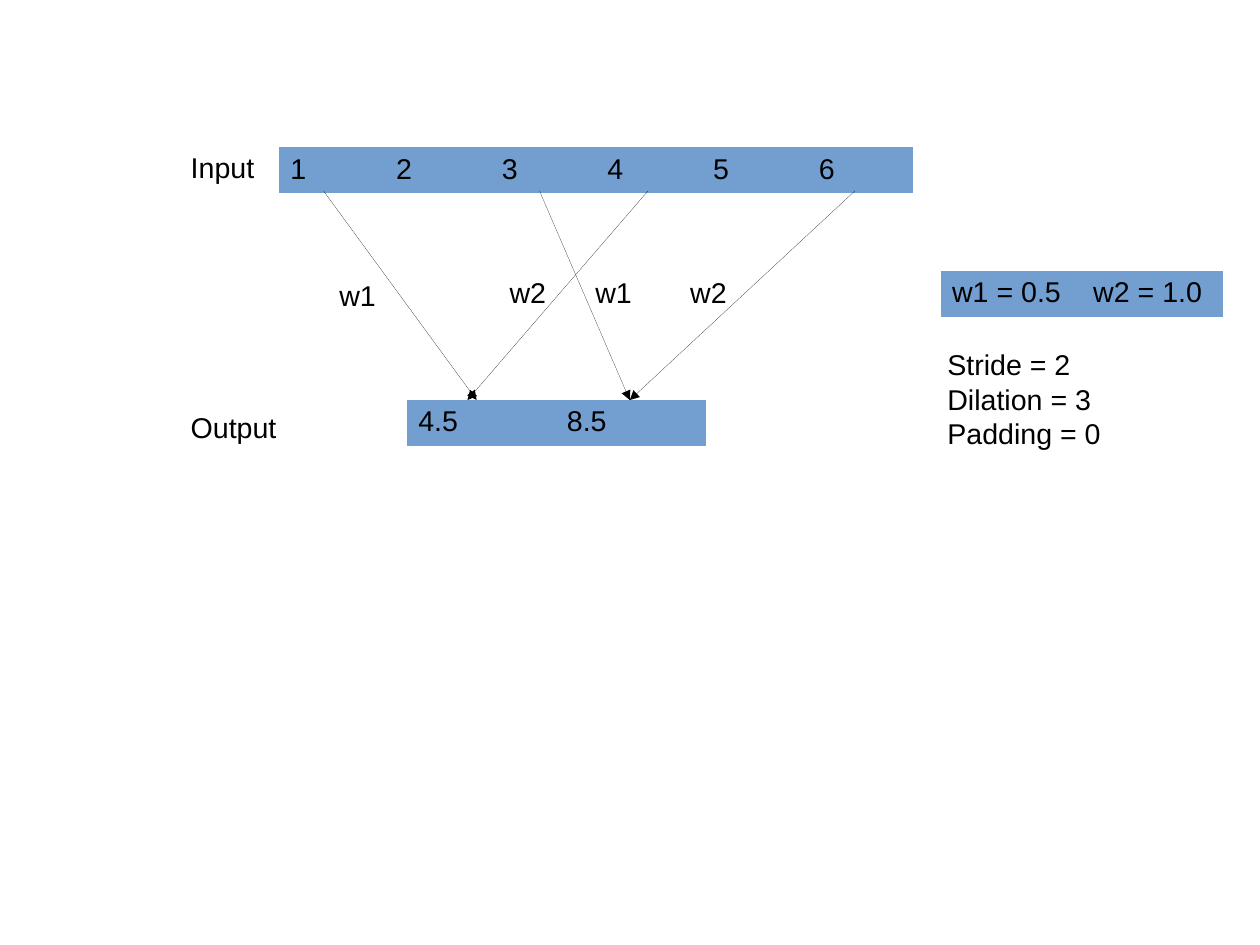
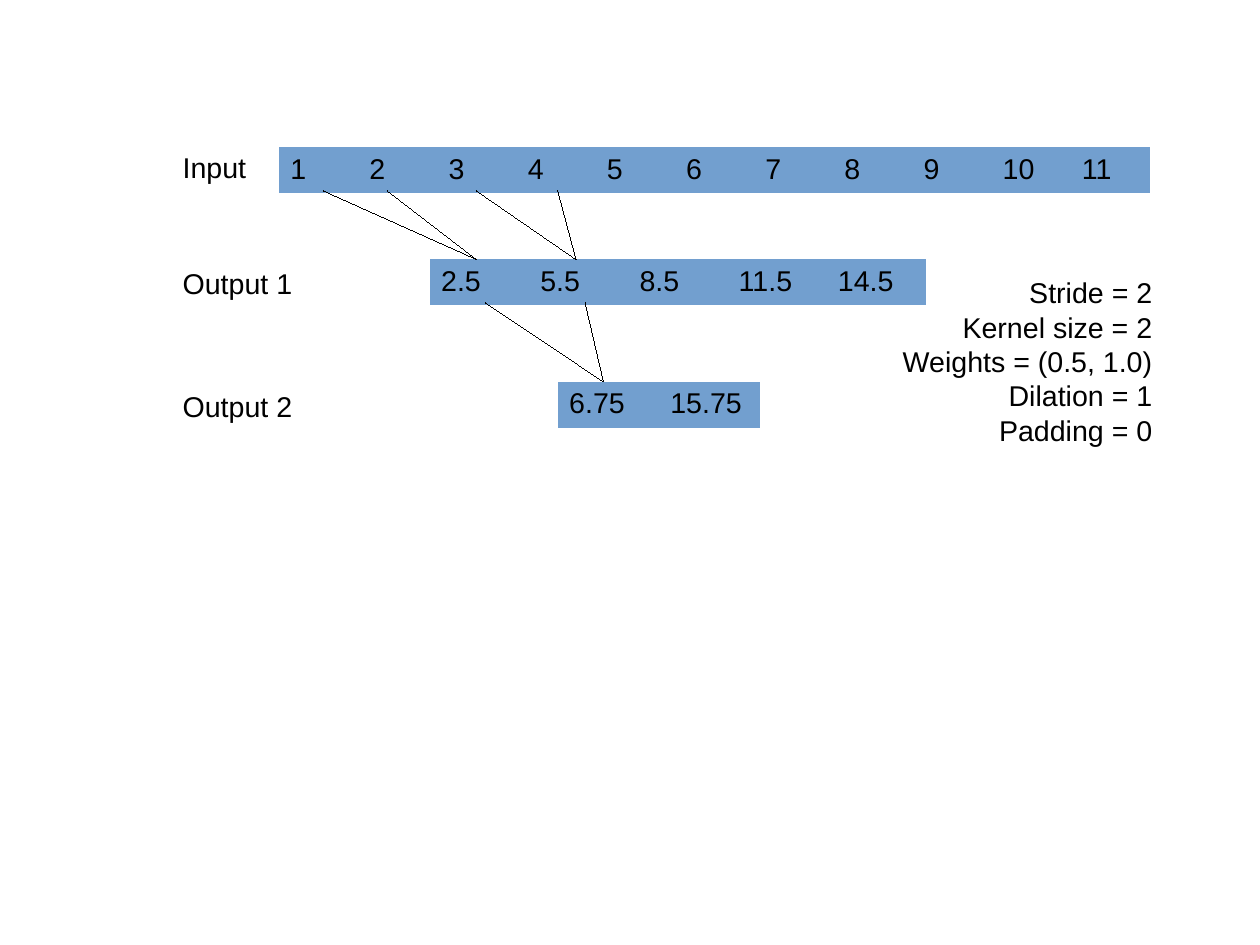
from lxml.etree import SubElement
from pptx import Presentation
from pptx.dml.color import RGBColor
from pptx.enum.shapes import MSO_CONNECTOR
from pptx.enum.text import PP_ALIGN
from pptx.oxml.ns import qn
from pptx.util import Cm, Inches, Pt

BLUE = RGBColor(0x72, 0x9F, 0xCF)
BLACK = RGBColor(0, 0, 0)
FONT = {"name": "Arial", "size": Pt(18), "bold": False}
HAIRLINE = Pt(0.01)
PLAIN_TABLE = "{2D5ABB26-0587-4C30-8999-92F81FD0307C}"
ROW_HEIGHT = 0.4
INPUT_LEFT, INPUT_TOP, INPUT_BOTTOM = 2.44, 1.29, 1.67


def write(p, text, align=PP_ALIGN.LEFT):
    """Put text in a paragraph in the shared font."""
    p.alignment = align
    r = p.add_run()
    r.text = text
    for name, value in FONT.items():
        setattr(r.font, name, value)
    r.font.color.rgb = BLACK


def add_label(s, x, y, w, lines, align=PP_ALIGN.LEFT):
    """Add a text box with one paragraph for each line."""
    sp = s.shapes.add_textbox(Inches(x), Inches(y), Inches(w), Inches(0.1 + 0.28 * len(lines)))
    tf = sp.text_frame
    tf.word_wrap = True
    for i, line in enumerate(lines):
        p = tf.add_paragraph() if i else tf.paragraphs[0]
        write(p, line, align)


def add_strip(s, x, y, w, values):
    """Add a one-row table with equal blue cells."""
    frame = s.shapes.add_table(1, len(values), Inches(x), Inches(y), Inches(w), Inches(ROW_HEIGHT))
    frame.element.xpath(".//a:tableStyleId")[0].text = PLAIN_TABLE
    table = frame.table
    table.first_row = table.horz_banding = False
    for cell, value in zip(table.iter_cells(), values):
        cell.fill.solid()
        cell.fill.fore_color.rgb = BLUE
        write(cell.text_frame.paragraphs[0], value)


def add_link(s, x1, y1, x2, y2, arrow=False):
    """Add a hairline, with an arrowhead at its end on request."""
    link = s.shapes.add_connector(
        MSO_CONNECTOR.STRAIGHT, Inches(x1), Inches(y1), Inches(x2), Inches(y2))
    link.line.color.rgb = BLACK
    link.line.width = HAIRLINE
    spPr = link.element.spPr
    if arrow:
        SubElement(spPr.find(qn("a:ln")), qn("a:tailEnd"), type="triangle")
    SubElement(spPr, qn("a:effectLst"))


def build_dilated(s):
    """Draw the convolution with stride 2 and dilation 3."""
    add_strip(s, INPUT_LEFT, INPUT_TOP, 5.55, [str(n) for n in range(1, 7)])
    for x, value in ((3.56, "4.5"), (4.86, "8.5")):
        add_strip(s, x, 3.5, 1.32, [value])
    for x1, x2 in ((2.83, 4.17), (5.67, 4.09), (4.72, 5.51), (7.48, 5.51)):
        add_link(s, x1, INPUT_BOTTOM, x2, 3.5, arrow=True)
    for x, y, weight in ((5.11, 2.36, "w1"), (2.87, 2.38, "w1"),
                         (4.36, 2.36, "w2"), (5.94, 2.36, "w2")):
        add_label(s, x, y, 0.55, [weight])
    add_strip(s, 8.23, 2.37, 2.47, ["w1 = 0.5", "w2 = 1.0"])
    add_label(s, 8.19, 2.99, 1.6, ["Stride = 2", "Dilation = 3", "Padding = 0"])
    for y, name in ((1.26, "Input"), (3.54, "Output")):
        add_label(s, 1.57, y, 1.18, [name])


def build_stacked(s):
    """Draw two stacked convolutions with stride 2."""
    add_strip(s, INPUT_LEFT, INPUT_TOP, 7.62, [str(n) for n in range(1, 12)])
    add_strip(s, 3.76, 2.27, 4.34, [str(2.5 + 3 * i) for i in range(5)])
    add_strip(s, 4.88, 3.34, 1.77, ["6.75", "15.75"])
    for x in (4.25, 5.12):
        add_link(s, x, 2.65, 5.28, 3.34)
    for x1, x2 in ((2.83, 4.17), (3.39, 4.17), (4.17, 5.04), (4.88, 5.04)):
        add_link(s, x1, INPUT_BOTTOM, x2, 2.27)
    for y, name in ((1.26, "Input"), (2.28, "Output 1"), (3.35, "Output 2")):
        add_label(s, 1.5, y, 1.2, [name])
    settings = ["Stride = 2", "Kernel size = 2", "Weights = (0.5, 1.0)",
                "Dilation = 1", "Padding = 0"]
    add_label(s, 7.74, 2.36, 2.44, settings, PP_ALIGN.RIGHT)


def main():
    """Build and save both slides."""
    prs = Presentation()
    prs.slide_width, prs.slide_height = Cm(28), Cm(21)
    blank = prs.slide_layouts.get_by_name("Blank")
    for build in (build_dilated, build_stacked):
        build(prs.slides.add_slide(blank))
    prs.save("out.pptx")


main()
